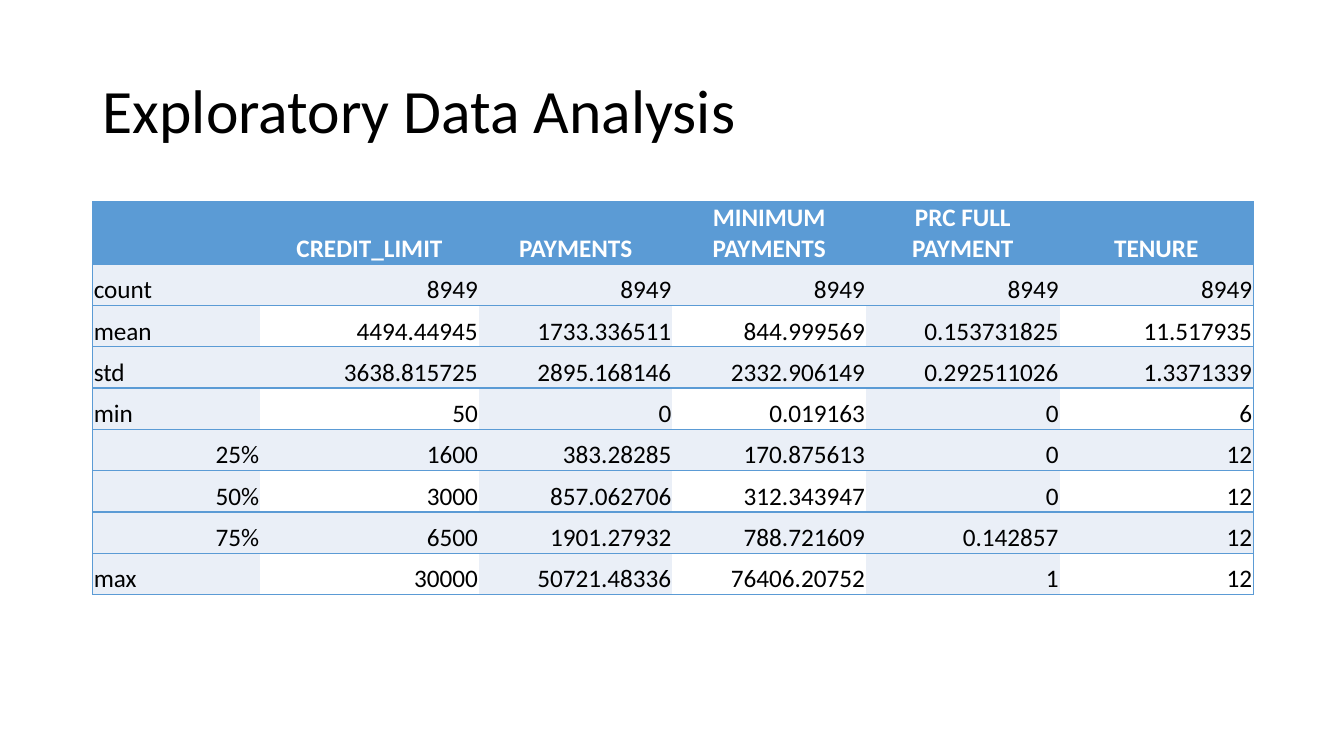
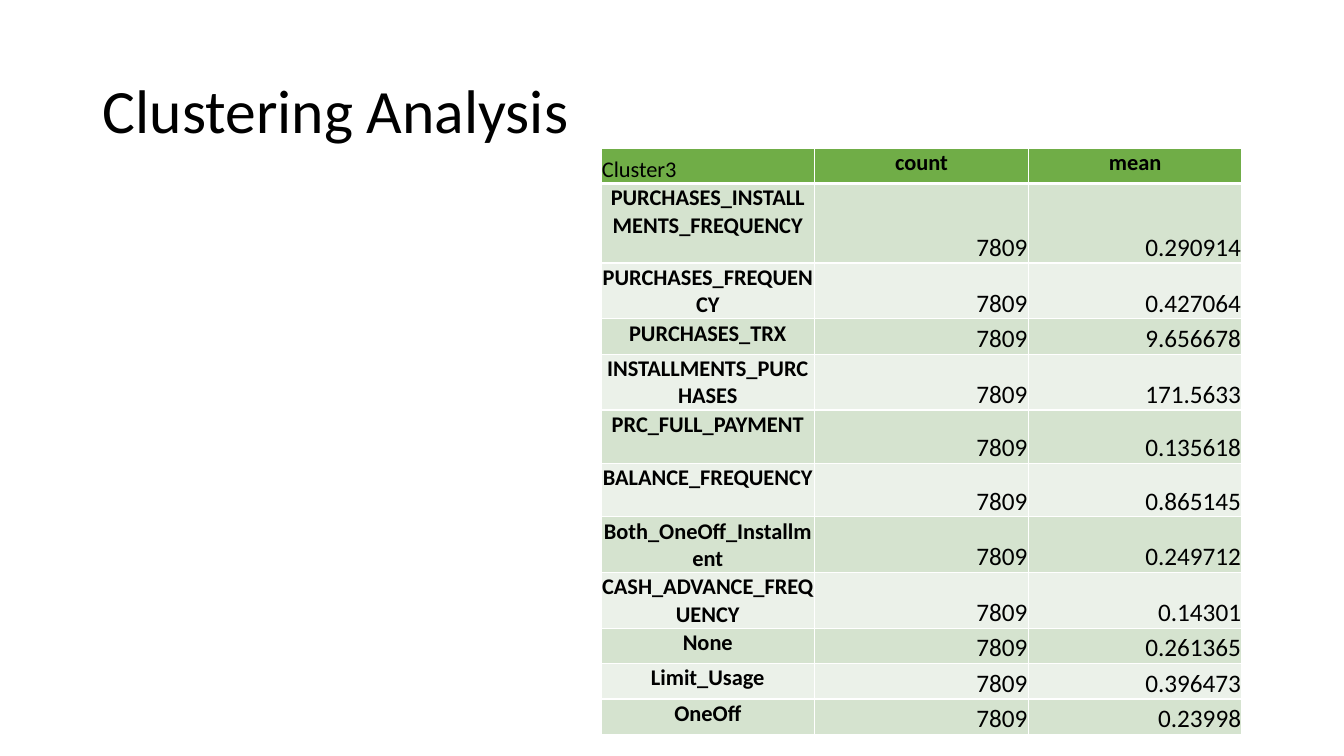
import pptx
import pptx.util
import pptx.dml.color
import pptx.enum.text
import pptx.oxml.ns
from lxml import etree

Inches, Pt = pptx.util.Inches, pptx.util.Pt
ALIGN, ANCHOR = pptx.enum.text.PP_ALIGN, pptx.enum.text.MSO_ANCHOR
qn = pptx.oxml.ns.qn

FONT = "Calibri"
BLACK, WHITE = "000000", "FFFFFF"
BLUE, PALE_BLUE = "5B9BD5", "EAEFF7"
GREEN, SOFT_GREEN, PALE_GREEN = "70AD47", "D5E3CF", "EBF1E9"
PLAIN_TABLE_STYLE = "{2D5ABB26-0587-4C30-8999-92F81FD0307C}"

STATISTICS = [
    ["", "CREDIT_LIMIT", "PAYMENTS", "MINIMUM PAYMENTS", "PRC FULL PAYMENT", "TENURE"],
    ["count", "8949", "8949", "8949", "8949", "8949"],
    ["mean", "4494.44945", "1733.336511", "844.999569", "0.153731825", "11.517935"],
    ["std", "3638.815725", "2895.168146", "2332.906149", "0.292511026", "1.3371339"],
    ["min", "50", "0", "0.019163", "0", "6"],
    ["25%", "1600", "383.28285", "170.875613", "0", "12"],
    ["50%", "3000", "857.062706", "312.343947", "0", "12"],
    ["75%", "6500", "1901.27932", "788.721609", "0.142857", "12"],
    ["max", "30000", "50721.48336", "76406.20752", "1", "12"],
]

CLUSTER_SIZE = "7809"
CLUSTER_MEANS = [
    ("PURCHASES_INSTALLMENTS_FREQUENCY", "0.290914", 0.79),
    ("PURCHASES_FREQUENCY", "0.427064", 0.53),
    ("PURCHASES_TRX", "9.656678", 0.35),
    ("INSTALLMENTS_PURCHASES", "171.5633", 0.53),
    ("PRC_FULL_PAYMENT", "0.135618", 0.53),
    ("BALANCE_FREQUENCY", "0.865145", 0.53),
    ("Both_OneOff_Installment", "0.249712", 0.53),
    ("CASH_ADVANCE_FREQUENCY", "0.14301", 0.53),
    ("None", "0.261365", 0.35),
    ("Limit_Usage", "0.396473", 0.35),
    ("OneOff", "0.23998", 0.35),
]


def rgb(color):
    return pptx.dml.color.RGBColor.from_string(color)


def set_font(p, size, color=BLACK, bold=False):
    p.font.name = FONT
    p.font.size = Pt(size)
    p.font.bold = bold
    p.font.color.rgb = rgb(color)


def add_titled_slide(prs, title):
    s = prs.slides.add_slide(prs.slide_layouts[5])
    sp = s.shapes.title
    sp.left, sp.top = Inches(0.92), Inches(0.4)
    sp.width, sp.height = Inches(11.5), Inches(1.45)
    tf = sp.text_frame
    tf.text = title
    tf.auto_size = pptx.enum.text.MSO_AUTO_SIZE.NONE
    tf.vertical_anchor = ANCHOR.MIDDLE
    p = tf.paragraphs[0]
    p.alignment = ALIGN.LEFT
    p.line_spacing = 0.9
    set_font(p, 44)
    return s


def add_plain_table(s, left, top, widths, heights):
    table = s.shapes.add_table(
        len(heights), len(widths), Inches(left), Inches(top),
        Inches(sum(widths)), Inches(sum(heights))).table
    table.horz_banding = False
    table._tbl.tblPr.find(qn("a:tableStyleId")).text = PLAIN_TABLE_STYLE
    for column, width in zip(table.columns, widths):
        column.width = Inches(width)
    for row, height in zip(table.rows, heights):
        row.height = Inches(height)
    return table


def set_borders(cell, color, **widths):
    """Draw the sides named L, R, T and B, each with a width in points."""
    tcPr = cell._tc.get_or_add_tcPr()
    for side in "LRTB":
        if side in widths:
            ln = etree.SubElement(tcPr, qn(f"a:ln{side}"), w=str(Pt(widths[side])))
            fill = etree.SubElement(ln, qn("a:solidFill"))
            etree.SubElement(fill, qn("a:srgbClr"), val=color)


def fill_cell(cell, text, fill, align, anchor=ANCHOR.BOTTOM, size=18, color=BLACK, bold=False):
    cell.fill.solid()
    cell.fill.fore_color.rgb = rgb(fill)
    cell.margin_left = cell.margin_top = cell.margin_right = Inches(0.01)
    cell.margin_bottom = 0
    cell.vertical_anchor = anchor
    cell.text = text
    p = cell.text_frame.paragraphs[0]
    p.alignment = align
    set_font(p, size, color, bold)


def add_statistics_table(s):
    widths = [1.66, 2.17] + [1.92] * 4
    table = add_plain_table(s, 0.92, 2, widths, [0.41] * len(STATISTICS))
    for i, values in enumerate(STATISTICS):
        for j, text in enumerate(values):
            cell = table.cell(i, j)
            sides = {"T": 1, "B": 1}
            if j == 0:
                sides["L"] = 1
            if j == len(values) - 1:
                sides["R"] = 1
            set_borders(cell, BLUE, **sides)
            if i == 0:
                fill_cell(cell, text, BLUE, ALIGN.CENTER, color=WHITE, bold=True)
            else:
                fill = PALE_BLUE if i % 2 or j % 2 == 0 else WHITE
                is_word = j == 0 and not text.endswith("%")
                fill_cell(cell, text, fill, ALIGN.LEFT if is_word else ALIGN.RIGHT)


def add_cluster_table(s):
    rows = [("Cluster3", "count", "mean")]
    rows += [(name, CLUSTER_SIZE, mean) for name, mean, _ in CLUSTER_MEANS]
    heights = [0.35] + [height for _, _, height in CLUSTER_MEANS]
    table = add_plain_table(s, 5.96, 1.47, [2.12] * 3, heights)
    for i, values in enumerate(rows):
        fill = GREEN if i == 0 else SOFT_GREEN if i % 2 else PALE_GREEN
        for j, text in enumerate(values):
            cell = table.cell(i, j)
            set_borders(cell, WHITE, L=1, R=1, T=3 if i == 1 else 1, B=3 if i == 0 else 1)
            if i == 0 and j == 0:
                fill_cell(cell, text, fill, ALIGN.LEFT, size=16)
            elif i == 0 or j == 0:
                fill_cell(cell, text, fill, ALIGN.CENTER, ANCHOR.TOP, size=16, bold=True)
            else:
                fill_cell(cell, text, fill, ALIGN.RIGHT)


def main():
    prs = pptx.Presentation()
    prs.slide_width, prs.slide_height = Inches(13.33), Inches(7.5)
    add_statistics_table(add_titled_slide(prs, "Exploratory Data Analysis"))
    add_cluster_table(add_titled_slide(prs, "Clustering Analysis"))
    prs.save("out.pptx")


if __name__ == "__main__":
    main()
